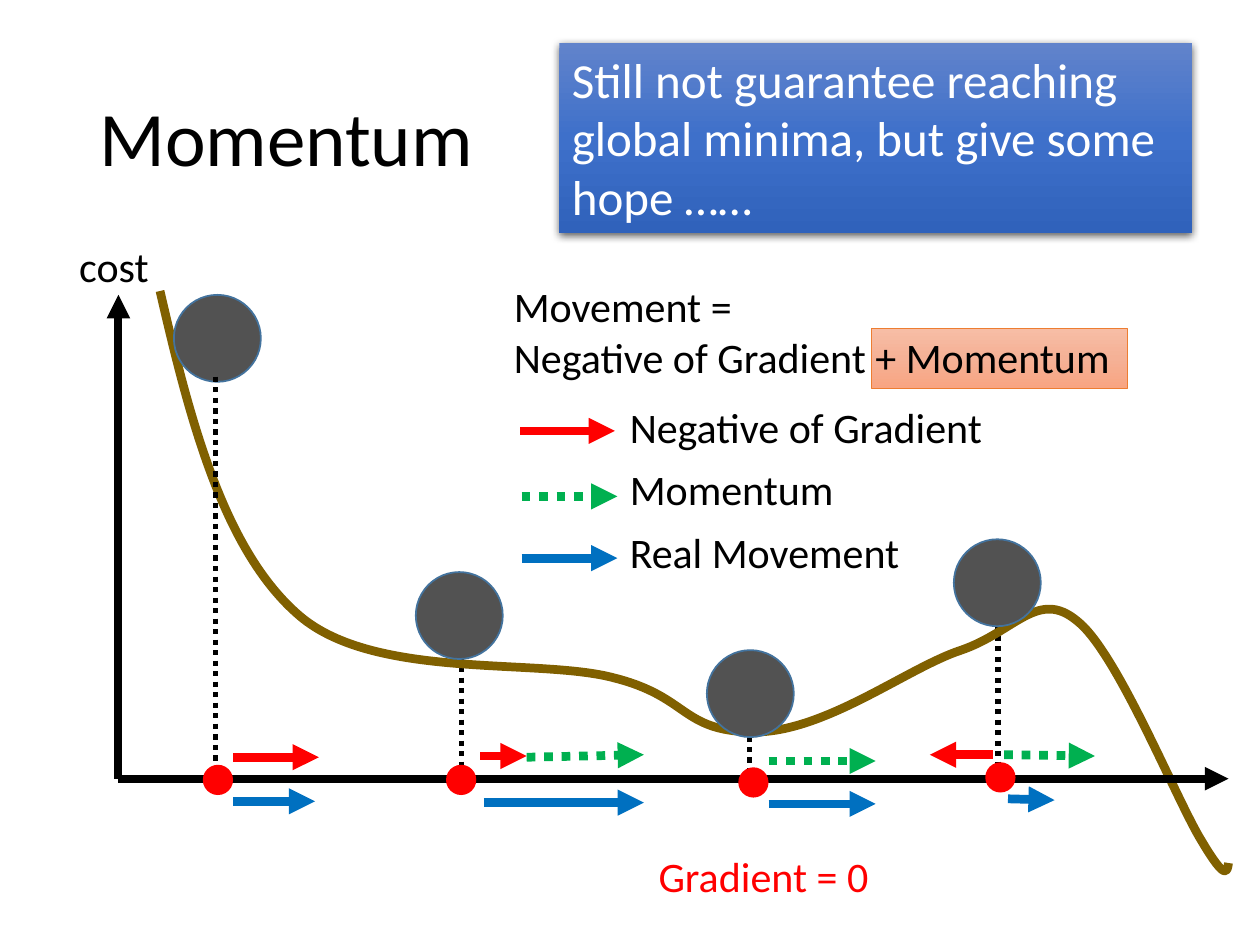
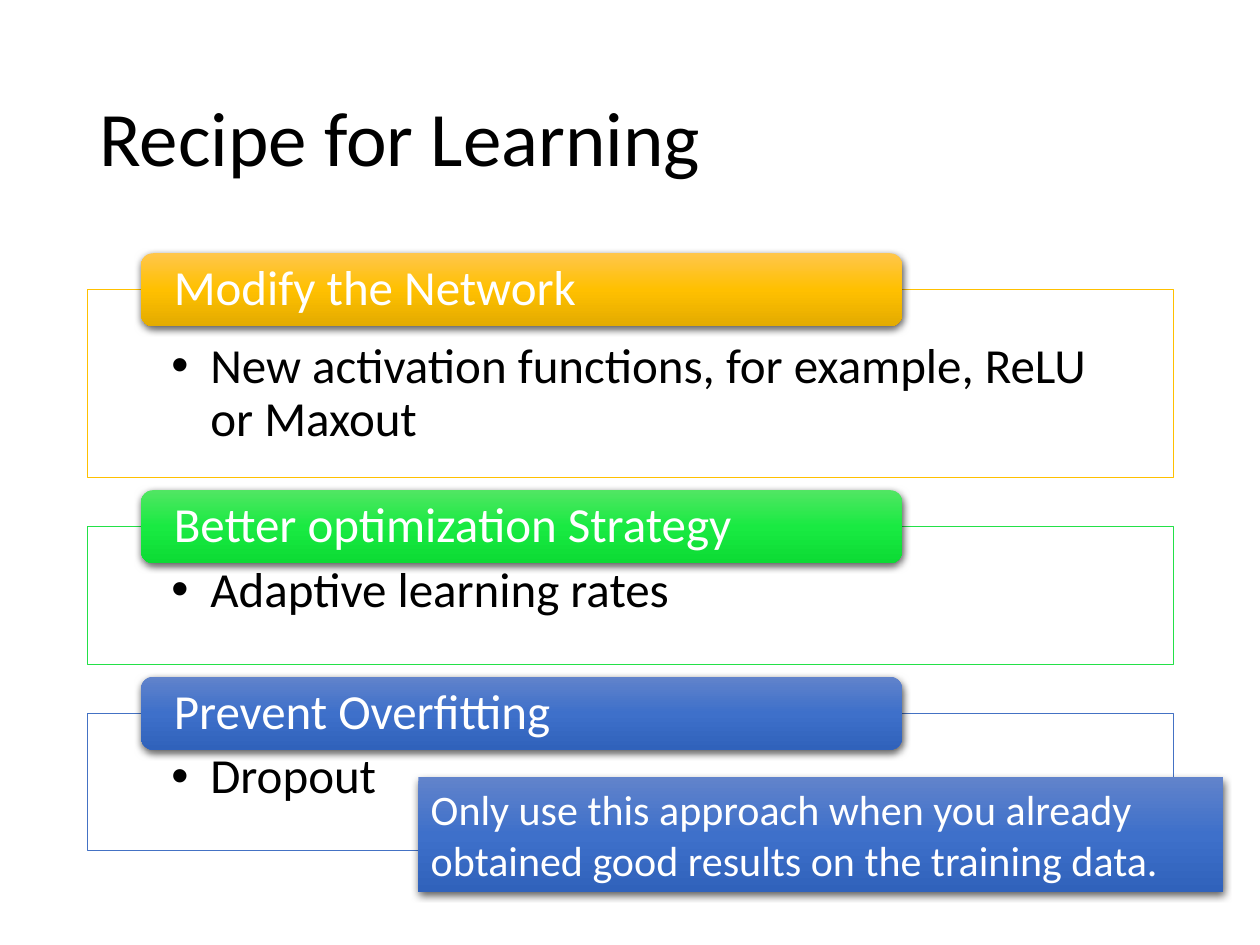
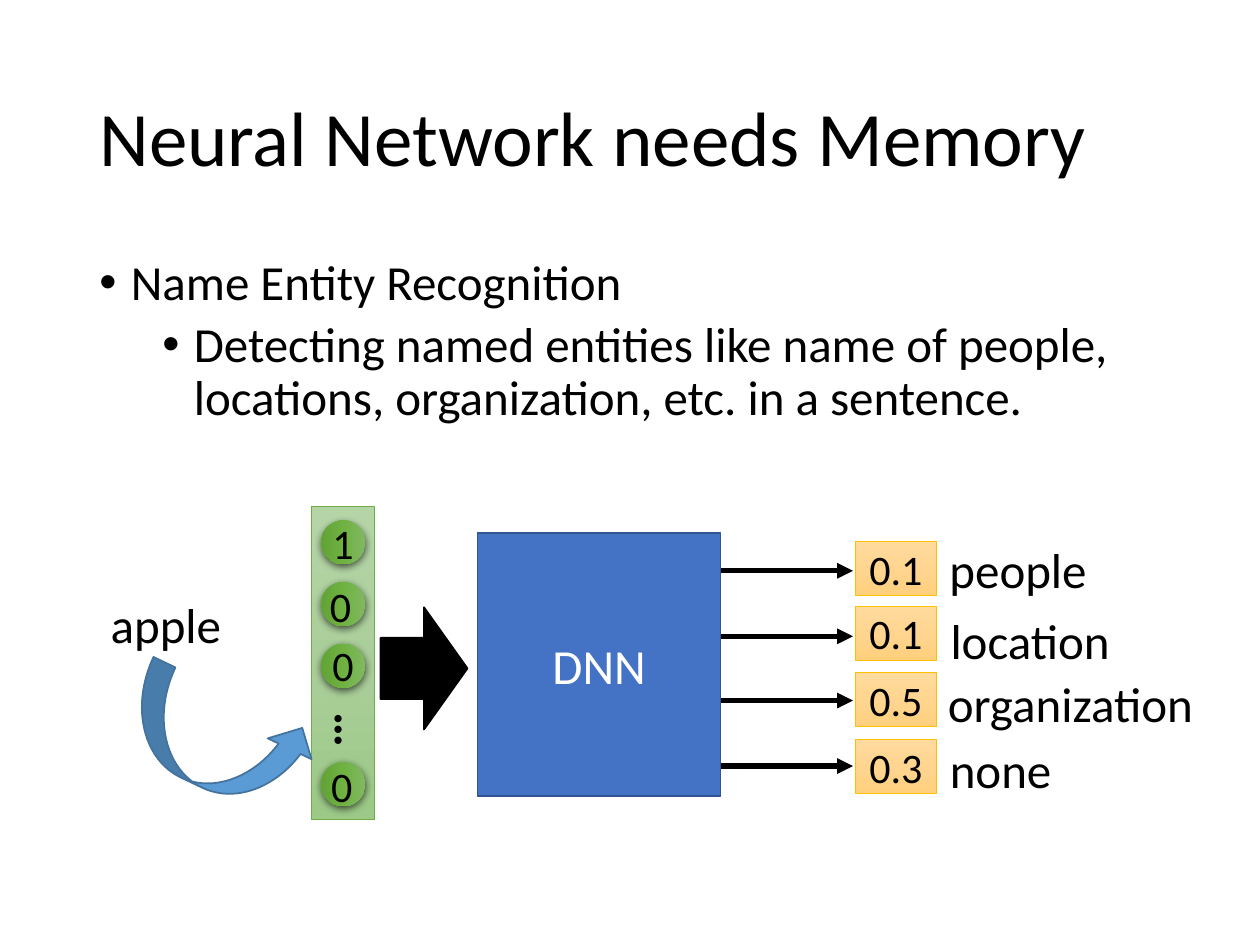
"""Build three slides on momentum, learning recipes and network memory."""
from copy import deepcopy
from dataclasses import dataclass
from typing import NamedTuple

from lxml.etree import SubElement
from pptx import Presentation
from pptx.dml.color import RGBColor
from pptx.enum.dml import MSO_LINE
from pptx.enum.shapes import MSO_CONNECTOR, MSO_SHAPE
from pptx.enum.text import MSO_ANCHOR, PP_ALIGN
from pptx.oxml.ns import qn
from pptx.util import Inches, Pt


@dataclass(frozen=True)
class Theme:
    """Fonts, type sizes in points and colours of the deck."""
    font: str = "Calibri"
    title: int = 44
    large: int = 28
    small: int = 24
    black: str = "000000"
    white: str = "FFFFFF"
    red: str = "FF0000"
    green: str = "00B050"
    blue: str = "0070C0"
    royal: str = "4472C4"
    royal_edge: str = "325491"
    steel_edge: str = "43739E"
    sky: str = "5B9BD5"
    ball: str = "525252"
    curve: str = "806000"
    gold: str = "FFC000"
    lime: str = "23E148"
    leaf: str = "70AD47"
    orange: str = "ED7D31"
    royal_shades: tuple = ("6183CB", "3E70CA", "3062BB")
    gold_shades: tuple = ("FFC64B", "FFC000", "E3AB00")
    lime_shades: tuple = ("51E663", "19EA42", "0CDB34")
    leaf_shades: tuple = ("81B861", "6FB242", "62A336")
    pale_leaf_shades: tuple = ("B5D5A7", "AACE9A", "9CC987")
    pale_gold_shades: tuple = ("FFDB9E", "FFD590", "FFD07C")
    peach_shades: tuple = ("F7BDA5", "F5B196", "F8A582")


THEME = Theme()


class Box(NamedTuple):
    """Left, top, width and height in inches."""
    left: float
    top: float
    width: float
    height: float


class Stroke(NamedTuple):
    """A straight line from start to end in inches."""
    start: tuple
    end: tuple
    color: str
    weight: float = 5
    dotted: bool = False
    arrow: bool = True


class Section(NamedTuple):
    """A headed frame with one bullet."""
    heading: str
    bullet: str
    height: float
    color: str
    shades: tuple


class Outcome(NamedTuple):
    """A class score with its arrow height, score top and label."""
    score: str
    label: str
    arrow_y: float
    score_top: float
    label_box: Box
    align: PP_ALIGN


def inches(values: tuple) -> list:
    """Turn numbers into lengths."""
    return [Inches(value) for value in values]


def write(frame, text: str, *, size=THEME.small, color=THEME.black, bold=False,
          align=PP_ALIGN.LEFT, anchor=MSO_ANCHOR.TOP, margins=(0.1, 0.05, 0.1, 0.05),
          wrap=True, spacing=None, before=0, bullet_indent=None, hang=0.25, append=False):
    """Write each line of text as a paragraph with one format."""
    frame.word_wrap = wrap
    frame.vertical_anchor = anchor
    (frame.margin_left, frame.margin_top,
     frame.margin_right, frame.margin_bottom) = inches(margins)
    for index, line in enumerate(text.split("\n")):
        para = frame.add_paragraph() if append or index else frame.paragraphs[0]
        para.alignment = align
        para.space_before = Pt(before)
        if spacing:
            para.line_spacing = spacing
        if bullet_indent is not None:
            properties = para._p.get_or_add_pPr()
            properties.set("marL", str(Inches(bullet_indent)))
            properties.set("indent", str(-Inches(hang)))
            SubElement(properties, qn("a:buFont"), typeface="Arial")
            SubElement(properties, qn("a:buChar"), char="•")
        span = para.add_run()
        span.text = line
        span.font.name = THEME.font
        span.font.size = Pt(size)
        span.font.bold = bold
        span.font.color.rgb = RGBColor.from_string(color)


def add_text(page, box: Box, text: str, *, rotation: float = 0, **style):
    """Add a text box and return its frame."""
    label = page.shapes.add_textbox(*inches(box))
    label.rotation = rotation
    write(label.text_frame, text, **style)
    return label.text_frame


def add_title(page, text: str) -> None:
    """Add the slide title."""
    add_text(page, Box(0.69, 0.4, 8.62, 1.45), text, size=THEME.title,
             anchor=MSO_ANCHOR.MIDDLE, spacing=0.9)


def add_shadow(shape) -> None:
    """Give a shape a soft shadow below."""
    effects = shape._element.spPr.find(qn("a:effectLst"))
    shadow = SubElement(effects, qn("a:outerShdw"), blurRad=str(Pt(4.5)), dist=str(Pt(1.5)),
                        dir="5400000", algn="ctr", rotWithShape="0")
    color = SubElement(shadow, qn("a:srgbClr"), val=THEME.black)
    SubElement(color, qn("a:alpha"), val="63000")


def paint_gradient(shape, shades: tuple, angle: float) -> None:
    """Fill a shape with three shades along an angle."""
    shape.fill.gradient()
    shape.fill.gradient_angle = angle
    stop_list = shape._element.spPr.find(qn("a:gradFill")).find(qn("a:gsLst"))
    stop_list.append(deepcopy(stop_list[0]))
    for stop, shade, position in zip(shape.fill.gradient_stops, shades, (0, 0.5, 1)):
        stop.color.rgb = RGBColor.from_string(shade)
        stop.position = position


def add_shape(page, kind, box: Box, fill, *, line=None, weight=1.0, shadow=False,
              rotation=0.0, angle=270, text="", **style):
    """Add a preset shape; a tuple of shades makes a gradient fill."""
    shape = page.shapes.add_shape(kind, *inches(box))
    shape.shadow.inherit = False
    shape.rotation = rotation
    if isinstance(fill, tuple):
        paint_gradient(shape, fill, angle)
    else:
        shape.fill.solid()
        shape.fill.fore_color.rgb = RGBColor.from_string(fill)
    if line:
        shape.line.color.rgb = RGBColor.from_string(line)
        shape.line.width = Pt(weight)
    else:
        shape.line.fill.background()
    if shadow:
        add_shadow(shape)
    if text:
        write(shape.text_frame, text, **style)


def add_stroke(page, stroke: Stroke) -> None:
    """Draw a line or an arrow."""
    connector = page.shapes.add_connector(
        MSO_CONNECTOR.STRAIGHT, *inches(stroke.start + stroke.end))
    connector.line.color.rgb = RGBColor.from_string(stroke.color)
    connector.line.width = Pt(stroke.weight)
    if stroke.dotted:
        connector.line.dash_style = MSO_LINE.ROUND_DOT
    properties = connector._element.spPr
    if stroke.arrow:
        SubElement(properties.find(qn("a:ln")), qn("a:tailEnd"), type="triangle")
    SubElement(properties, qn("a:effectLst"))


def add_note(page, box: Box, text: str, size: int) -> None:
    """Add a raised blue remark."""
    add_shape(page, MSO_SHAPE.RECTANGLE, box, THEME.royal_shades, shadow=True,
              text=text, size=size, color=THEME.white)


def bend_segments(shape, height: float) -> None:
    """Join each three straight segments into one cubic curve and set the outline height."""
    outline = next(shape._element.iter(qn("a:path")))
    segments = outline.findall(qn("a:lnTo"))
    for index in range(0, len(segments), 3):
        bend = SubElement(outline, qn("a:cubicBezTo"))
        for segment in segments[index:index + 3]:
            bend.append(segment[0])
            outline.remove(segment)
    shape.height = Inches(height)
    outline.set("h", str(Inches(height)))


def add_cost_curve(page) -> None:
    """Draw the cost curve."""
    start = (1.27, 2.31)
    controls = (
        (1.51, 3.35), (1.78, 4.38), (2.38, 4.89),
        (2.98, 5.4), (4.27, 5.22), (4.87, 5.38),
        (5.47, 5.53), (5.4, 5.8), (5.97, 5.81),
        (6.54, 5.82), (7.2, 5.3), (7.63, 5.16),
        (8.06, 5.01), (8.24, 4.67), (8.55, 4.93),
        (8.87, 5.18), (9.34, 6.36), (9.54, 6.68),
        (9.73, 7), (9.74, 6.92), (9.75, 6.85),
    )
    builder = page.shapes.build_freeform(*inches(start))
    builder.add_line_segments([inches(point) for point in controls], close=False)
    curve = builder.convert_to_shape()
    bend_segments(curve, 4.6)
    curve.shadow.inherit = False
    curve.fill.background()
    curve.line.color.rgb = RGBColor.from_string(THEME.curve)
    curve.line.width = Pt(5)


def drop_line(x: float, top: float, bottom: float) -> Stroke:
    """Describe a dotted line from a ball to the axis."""
    return Stroke((x, top), (x, bottom), THEME.black, 3, dotted=True, arrow=False)


def build_momentum(page) -> None:
    """Show a ball rolling down the cost curve."""
    add_shape(page, MSO_SHAPE.RECTANGLE, Box(6.92, 2.61, 2.03, 0.47), THEME.peach_shades,
              line=THEME.orange, weight=0.5)
    for x, top in ((7.92, 4.71), (3.66, 4.71), (5.95, 5.51)):
        add_stroke(page, drop_line(x, top, 6.17))
    add_title(page, "Momentum")
    add_cost_curve(page)
    for end in ((9.75, 6.18), (0.94, 2.34)):
        add_stroke(page, Stroke((0.94, 6.18), end, THEME.black, 4.5))
    for left, top in ((5.61, 5.16), (1.38, 2.34), (7.57, 4.28), (3.3, 4.54)):
        add_shape(page, MSO_SHAPE.OVAL, Box(left, top, 0.69, 0.69), THEME.ball,
                  line=THEME.steel_edge)
    add_text(page, Box(0.49, 1.86, 0.83, 0.5), "cost", align=PP_ALIGN.CENTER)
    add_text(page, Box(3.98, 2.18, 5, 0.91), "Movement =\nNegative of Gradient + Momentum")
    add_text(page, Box(5.01, 6.7, 2.1, 0.5), "Gradient = 0", color=THEME.red,
             align=PP_ALIGN.CENTER)
    add_stroke(page, drop_line(1.71, 2.99, 6.31))
    for start, end in (((1.85, 6.01), (2.53, 6.01)), ((7.88, 5.99), (7.38, 5.99)),
                       ((3.81, 6), (4.18, 6))):
        add_stroke(page, Stroke(start, end, THEME.red))
    for start, end in (((4.18, 6.01), (5.11, 5.99)), ((6.1, 6.04), (6.95, 6.04)),
                       ((7.97, 5.99), (8.69, 6))):
        add_stroke(page, Stroke(start, end, THEME.green, dotted=True))
    for start, end in (((1.85, 6.36), (2.5, 6.36)), ((8, 6.34), (8.37, 6.35)),
                       ((6.1, 6.38), (6.95, 6.38)), ((3.84, 6.37), (5.11, 6.37))):
        add_stroke(page, Stroke(start, end, THEME.blue))
    for left, top in ((1.61, 6.07), (3.54, 6.07), (5.86, 6.09), (7.82, 6.05)):
        add_shape(page, MSO_SHAPE.OVAL, Box(left, top, 0.24, 0.24), THEME.red)
    add_note(page, Box(4.44, 0.34, 5.02, 1.51),
             "Still not guarantee reaching global minima, but give some hope ……", THEME.large)
    legend = (("Negative of Gradient", THEME.red, 4.13, 4.88, 3.42, 3.14, 3.57),
              ("Momentum", THEME.green, 4.14, 4.9, 3.94, 3.63, 2.8),
              ("Real Movement", THEME.blue, 4.14, 4.9, 4.43, 4.13, 2.8))
    for name, color, left, right, y, label_top, width in legend:
        add_stroke(page, Stroke((left, y), (right, y), color, dotted=color == THEME.green))
        add_text(page, Box(4.9, label_top, width, 0.5), name)


def build_recipe(page) -> None:
    """List the three ways to improve learning."""
    add_title(page, "Recipe for Learning")
    sections = (
        Section("Modify the Network", "New activation functions, for example, ReLU or Maxout",
                1.49, THEME.gold, THEME.gold_shades),
        Section("Better optimization Strategy", "Adaptive learning rates",
                1.09, THEME.lime, THEME.lime_shades),
        Section("Prevent Overfitting", "Dropout", 1.09, THEME.royal, THEME.royal_shades),
    )
    top = 2.3
    for section in sections:
        frame_box = Box(0.69, top, 8.62, section.height)
        add_shape(page, MSO_SHAPE.RECTANGLE, frame_box, THEME.white, line=section.color,
                  weight=0.5)
        add_text(page, frame_box, section.bullet, size=THEME.large, spacing=0.9,
                 margins=(0.67, 0.41, 0.67, 0.22), bullet_indent=0.31, hang=0.31)
        add_shape(page, MSO_SHAPE.ROUNDED_RECTANGLE, Box(1.12, top - 0.29, 6.04, 0.58),
                  section.shades, shadow=True)
        add_text(page, Box(1.15, top - 0.26, 5.98, 0.52), section.heading, size=THEME.large,
                 color=THEME.white, anchor=MSO_ANCHOR.MIDDLE, margins=(0.23, 0, 0.23, 0),
                 spacing=0.9)
        top += section.height + 0.39
    add_note(page, Box(3.32, 6.17, 6.39, 0.91),
             "Only use this approach when you already obtained good results on the training data.",
             THEME.small)


def add_word_vector(page) -> None:
    """Draw the one-hot vector of the input word."""
    add_shape(page, MSO_SHAPE.RECTANGLE, Box(1.48, 5.01, 2.48, 0.5), THEME.pale_leaf_shades,
              line=THEME.leaf, weight=0.5, rotation=90, angle=0)
    add_text(page, Box(2.58, 5.5, 0.46, 0.57), "…", size=THEME.large, bold=True, rotation=90)
    entries = (("1", 4.13, 2.54, 4.06), ("0", 4.62, 2.52, 4.56),
               ("0", 5.11, 2.54, 5.03), ("0", 6.05, 2.53, 5.99))
    for digit, circle_top, left, top in entries:
        add_shape(page, MSO_SHAPE.OVAL, Box(2.55, circle_top, 0.35, 0.35), THEME.leaf_shades,
                  shadow=True, rotation=90)
        add_text(page, Box(left, top, 0.33, 0.5), digit)


def build_memory(page) -> None:
    """Show a network that labels one word."""
    outcomes = (
        Outcome("0.1", "people", 4.53, 4.3, Box(7.36, 4.23, 1.44, 0.57), PP_ALIGN.CENTER),
        Outcome("0.1", "location", 5.05, 4.81, Box(7.32, 4.8, 1.71, 0.57), PP_ALIGN.CENTER),
        Outcome("0.5", "organization", 5.56, 5.34, Box(7.36, 5.3, 2.27, 0.57),
                PP_ALIGN.CENTER),
        Outcome("0.3", "none", 6.08, 5.87, Box(7.44, 5.82, 1.37, 0.57), PP_ALIGN.LEFT),
    )
    for outcome in outcomes:
        add_stroke(page, Stroke((5.5, outcome.arrow_y), (6.77, outcome.arrow_y),
                                THEME.black, 3))
    add_title(page, "Neural Network needs Memory")
    body = add_text(page, Box(0.69, 2, 8.62, 4.76), "Name Entity Recognition", size=THEME.large,
                    spacing=0.9, before=10, bullet_indent=0.25)
    write(body, "Detecting named entities like name of people, locations, organization, etc. "
          "in a sentence.", size=THEME.large, spacing=0.9, before=5, bullet_indent=0.75,
          append=True)
    add_text(page, Box(0.78, 4.67, 1.09, 0.57), "apple", size=THEME.large, wrap=False)
    add_word_vector(page)
    add_shape(page, MSO_SHAPE.RECTANGLE, Box(3.79, 4.23, 1.93, 2.09), THEME.royal,
              line=THEME.royal_edge, text="DNN", size=THEME.large, color=THEME.white,
              align=PP_ALIGN.CENTER, anchor=MSO_ANCHOR.MIDDLE)
    add_shape(page, MSO_SHAPE.RIGHT_ARROW, Box(3.02, 4.82, 0.69, 0.97), THEME.black,
              line=THEME.black)
    add_shape(page, MSO_SHAPE.CURVED_UP_ARROW, Box(0.98, 5.5, 1.5, 0.77), THEME.sky,
              line=THEME.steel_edge, rotation=25.5)
    for outcome in outcomes:
        add_text(page, outcome.label_box, outcome.label, size=THEME.large, align=outcome.align)
        add_shape(page, MSO_SHAPE.RECTANGLE, Box(6.79, outcome.score_top, 0.64, 0.43),
                  THEME.pale_gold_shades, line=THEME.gold, weight=0.5, text=outcome.score,
                  align=PP_ALIGN.CENTER, anchor=MSO_ANCHOR.MIDDLE)


def main() -> None:
    """Build and save the deck."""
    deck = Presentation()
    deck.slide_width, deck.slide_height = Inches(10), Inches(7.5)
    for build in (build_momentum, build_recipe, build_memory):
        build(deck.slides.add_slide(deck.slide_layouts[6]))
    deck.save("out.pptx")


if __name__ == "__main__":
    main()
